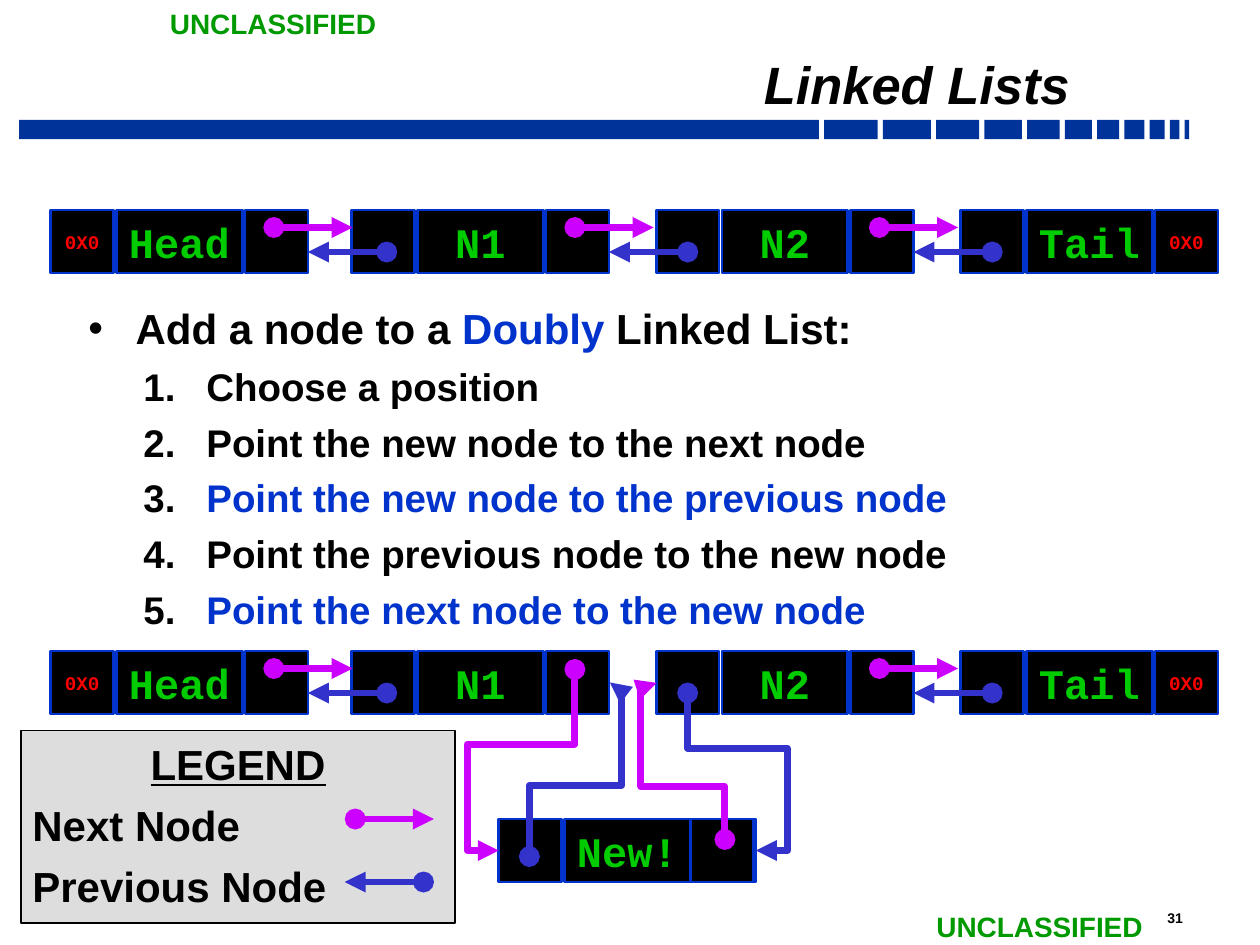
from dataclasses import dataclass

from lxml import etree
from pptx import Presentation
from pptx.dml.color import RGBColor
from pptx.enum.shapes import MSO_CONNECTOR as LINE, MSO_SHAPE as SHAPE
from pptx.enum.text import MSO_ANCHOR as ANCHOR, PP_ALIGN as ALIGN
from pptx.oxml.ns import qn
from pptx.util import Pt


@dataclass(frozen=True)
class Theme:
    sans: str = "Arial"
    mono: str = "Courier New"
    black: str = "000000"
    bar: str = "003399"
    marking: str = "009900"
    blue: str = "0033CC"
    label: str = "00CC00"
    null: str = "FF0000"
    panel: str = "DDDDDD"
    next: str = "CC00FF"
    previous: str = "3333CC"
    title_size: float = 30
    main_size: float = 24
    step_size: float = 22
    marking_size: float = 16
    null_size: float = 11
    number_size: float = 8


THEME = Theme()
# Link style: colour, end at the start point, end at the end point
NEXT = (THEME.next, "oval", "triangle")
PREVIOUS = (THEME.previous, "triangle", "oval")
NODE_LEFTS = (29, 201, 375, 549)
NODE_NAMES = ("Head", "N1", "N2", "Tail")
CELL, DATA = 36, 72
DATA_SHIFT, NEXT_SHIFT = 37.5, 111


# Text
def add_span(para, text, size, color=THEME.black, font=THEME.sans, **extra):
    span = para.add_run()
    span.text = text
    formats = {"size": Pt(size), "name": font, "bold": True, **extra}
    for name, value in formats.items():
        setattr(span.font, name, value)
    span.font.color.rgb = RGBColor.from_string(color)


def set_frame(frame, **formats):
    for name, value in formats.items():
        setattr(frame, name, value)


def add_text(page, left, top, width, height, **formats):
    box = page.shapes.add_textbox(Pt(left), Pt(top), Pt(width), Pt(height))
    set_frame(box.text_frame, **{"word_wrap": True, **formats})
    return box.text_frame


def next_para(frame, first):
    return frame.paragraphs[0] if first else frame.add_paragraph()


def set_bullet(para, left, hang, tag, **attributes):
    props = para._p.get_or_add_pPr()
    props.set("marL", str(Pt(left)))
    props.set("indent", str(-Pt(hang)))
    color = etree.SubElement(props, qn("a:buClr"))
    etree.SubElement(color, qn("a:srgbClr"), val=THEME.black)
    etree.SubElement(props, qn("a:buFont"), typeface=THEME.sans)
    etree.SubElement(props, qn(tag), **attributes)


# Shapes and lines
def add_rect(page, left, top, width, height, fill, line=None, weight=1.5):
    rect = page.shapes.add_shape(SHAPE.RECTANGLE, Pt(left), Pt(top), Pt(width), Pt(height))
    rect.shadow.inherit = False
    rect.fill.solid()
    rect.fill.fore_color.rgb = RGBColor.from_string(fill)
    if line:
        rect.line.color.rgb = RGBColor.from_string(line)
        rect.line.width = Pt(weight)
    else:
        rect.line.fill.background()
    return rect


def add_link(page, style, x1, y1, x2, y2, kind=LINE.STRAIGHT):
    color, head, tail = style
    link = page.shapes.add_connector(kind, Pt(x1), Pt(y1), Pt(x2), Pt(y2))
    link.line.color.rgb = RGBColor.from_string(color)
    link.line.width = Pt(4)
    line = link.line._get_or_add_ln()
    etree.SubElement(line, qn("a:headEnd"), type=head)
    etree.SubElement(line, qn("a:tailEnd"), type=tail)
    etree.SubElement(link._element.spPr, qn("a:effectLst"))
    return link


def add_bent_link(page, style, start, end, bends, turn=0):
    """Four-part elbow; bends are its two adjustments in percent."""
    link = add_link(page, style, *start, *end, kind=LINE.ELBOW)
    props = link._element.spPr
    if turn:
        props.find(qn("a:xfrm")).set("rot", str(turn * 60000))
    shape = props.find(qn("a:prstGeom"))
    shape.set("prst", "bentConnector4")
    guides = shape.find(qn("a:avLst"))
    for index, bend in enumerate(bends, 1):
        etree.SubElement(guides, qn("a:gd"), name=f"adj{index}", fmla=f"val {round(bend * 1000)}")


# List nodes
def add_cell(page, left, top, width, text="", color=THEME.label, size=THEME.main_size):
    cell = add_rect(page, left, top, width, CELL, THEME.black, THEME.blue)
    if text:
        frame = cell.text_frame
        set_frame(frame, word_wrap=False, vertical_anchor=ANCHOR.MIDDLE)
        para = frame.paragraphs[0]
        para.alignment = ALIGN.CENTER
        add_span(para, text, size, color, THEME.mono)


def add_node(page, left, top, name):
    null = ("0X0", THEME.null, THEME.null_size)
    add_cell(page, left + DATA_SHIFT, top, DATA, name)
    add_cell(page, left + NEXT_SHIFT, top, CELL, *(null if name == "Tail" else ()))
    add_cell(page, left, top, CELL, *(null if name == "Head" else ()))


def add_list(page, top, linked):
    for left, name in zip(NODE_LEFTS, NODE_NAMES):
        add_node(page, left, top, name)
    for index in linked:
        left = NODE_LEFTS[index]
        add_link(page, NEXT, left + 127.5, top + 10, left + 172.5, top + 10)
        add_link(page, PREVIOUS, left + 147, top + 24, left + 192, top + 24)


# Parts of the slide
def add_header(page):
    left = 11
    for width in (457, 30.5, 27.5, 24.5, 21.5, 18.5, 15.5, 12.5, 11.5, 8.5, 5.5, 2.5):
        add_rect(page, left, 68.5, width, 11, THEME.bar)
        left += width + 3
    for x, y in ((90, 0), (528, 516)):
        frame = add_text(page, x, y, 134, 26.5, word_wrap=False)
        add_span(frame.paragraphs[0], "UNCLASSIFIED", THEME.marking_size, THEME.marking)
    number = add_text(page, 660, 516, 39, 16.5)
    add_span(number.paragraphs[0], "31", THEME.number_size)
    title = add_text(page, 120, 25, 498, 42.5, vertical_anchor=ANCHOR.BOTTOM,
                     margin_right=Pt(6.5), margin_top=Pt(3), margin_bottom=Pt(3))
    para = title.paragraphs[0]
    para.alignment = ALIGN.RIGHT
    para.line_spacing = 0.7
    add_span(para, "Linked Lists", THEME.title_size, italic=True)


def add_steps(page):
    frame = add_text(page, 44, 102, 653, 372, margin_left=Pt(6.5), margin_top=Pt(71))
    para = frame.paragraphs[0]
    set_bullet(para, 27, 27, "a:buChar", char="•")
    for text, color in (("Add a node to a ", THEME.black), ("Doubly", THEME.blue),
                        (" Linked List:", THEME.black)):
        add_span(para, text, THEME.main_size, color)
    for text, color in (("Choose a position", THEME.black),
                        ("Point the new node to the next node", THEME.black),
                        ("Point the new node to the previous node", THEME.blue),
                        ("Point the previous node to the new node", THEME.black),
                        ("Point the next node to the new node", THEME.blue)):
        para = frame.add_paragraph()
        para.level = 1
        para.space_before = Pt(5.5)
        set_bullet(para, 67.5, 36, "a:buAutoNum", type="arabicPeriod")
        add_span(para, text, THEME.step_size, color)


def add_legend(page):
    panel = add_rect(page, 12, 417.5, 248, 110, THEME.panel, THEME.black, 1)
    frame = panel.text_frame
    set_frame(frame, word_wrap=True, vertical_anchor=ANCHOR.TOP,
              margin_left=Pt(6.5), margin_right=Pt(6.5), margin_top=Pt(4.5))
    for index, text in enumerate(("LEGEND", "Next Node", "Previous Node")):
        heading = index == 0
        para = next_para(frame, heading)
        para.alignment = ALIGN.CENTER if heading else ALIGN.LEFT
        para.space_before = Pt(0 if heading else 6)
        add_span(para, text, THEME.main_size, underline=heading)
    add_link(page, NEXT, 203, 468, 248, 468)
    add_link(page, PREVIOUS, 197, 504, 242, 504)


def add_insertion(page):
    add_node(page, 285, 468, "New!")
    add_cell(page, 394.5, 468, CELL)
    add_bent_link(page, NEXT, (255, 412.5), (358.5, 456), (41.3, 141.4), turn=90)
    add_bent_link(page, PREVIOUS, (348.5, 390), (302.5, 489.5), (-14.8, 59))
    add_bent_link(page, NEXT, (350, 454.5), (439.5, 415.5), (34, 123.1), turn=270)
    add_bent_link(page, PREVIOUS, (432, 486), (393, 396), (-46.2, 65))


def main():
    deck = Presentation()
    deck.slide_width, deck.slide_height = Pt(720), Pt(540)
    page = deck.slides.add_slide(deck.slide_layouts[6])
    add_header(page)
    add_steps(page)
    add_list(page, 120, linked=(0, 1, 2))
    add_list(page, 372, linked=(0, 2))
    add_legend(page)
    add_insertion(page)
    deck.save("out.pptx")


if __name__ == "__main__":
    main()
